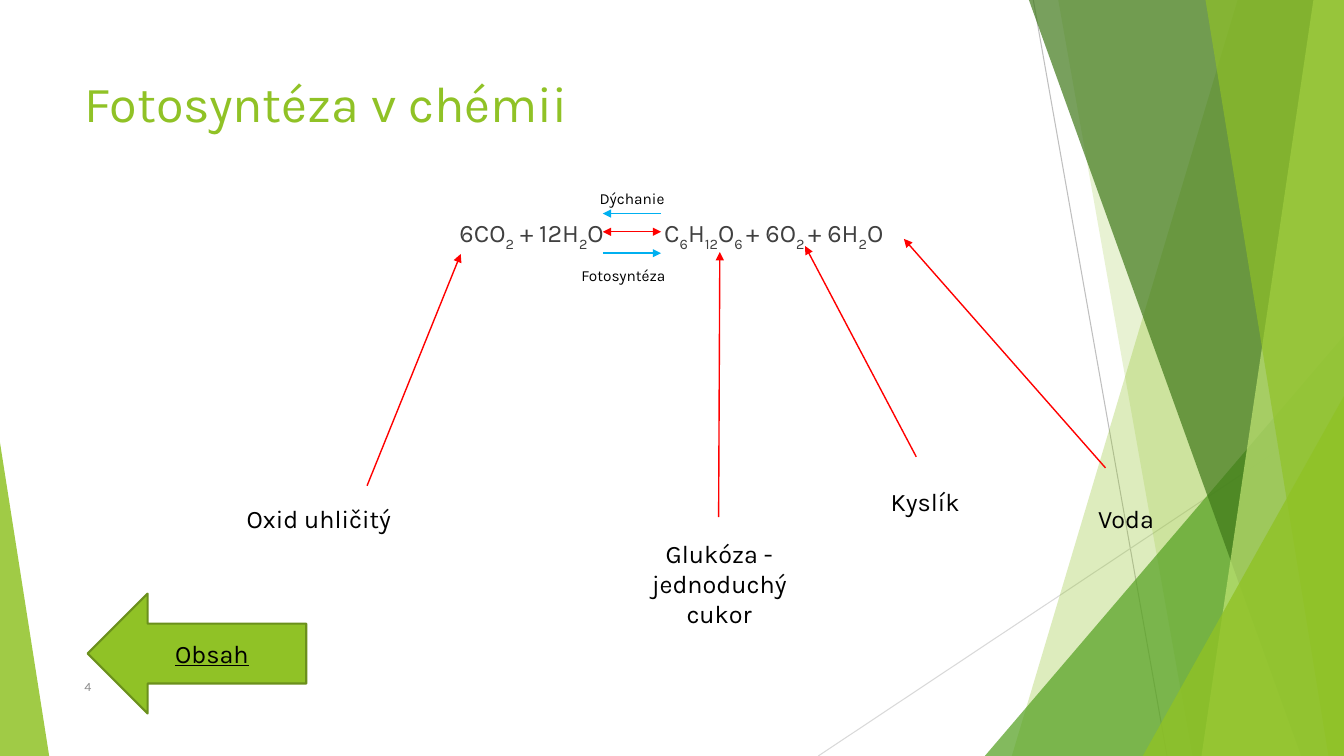
from dataclasses import dataclass

from lxml import etree
from pptx import Presentation
from pptx.dml.color import RGBColor
from pptx.enum.shapes import MSO_CONNECTOR, MSO_SHAPE
from pptx.enum.text import MSO_ANCHOR, PP_ALIGN
from pptx.oxml.ns import qn
from pptx.util import Cm, Pt

STRAIGHT = MSO_CONNECTOR.STRAIGHT
TRIANGLE = MSO_SHAPE.ISOSCELES_TRIANGLE
LEFT_ARROW = MSO_SHAPE.LEFT_ARROW
LEFT, CENTER = PP_ALIGN.LEFT, PP_ALIGN.CENTER
TOP, MIDDLE = MSO_ANCHOR.TOP, MSO_ANCHOR.MIDDLE
WIDTH, HEIGHT = 33.87, 19.05
TITLE_ONLY = 5


@dataclass(frozen=True)
class Theme:
    """Colours, font and type sizes of the slide."""
    font: str = "Karla"
    green: str = "90C226"
    mid_green: str = "54A021"
    dark_green: str = "3F7819"
    pale_green: str = "C0E474"
    outline: str = "6B901C"
    red: str = "FF0000"
    blue: str = "00B0F0"
    black: str = "000000"
    formula: str = "404040"
    number: str = "8C8C8C"
    rule_dark: str = "BFBFBF"
    rule_light: str = "D9D9D9"
    title_size: int = 36
    text_size: int = 18
    small_size: int = 11
    number_size: int = 9


THEME = Theme()

BANDS_BACK = [(31.19, 25.5, THEME.green, 30), (26.67, 30.05, THEME.green, 20)]
BANDS_FRONT = [
    (25.93, 32.79, THEME.dark_green, 70),
    (33.1, 30.28, THEME.pale_green, 70),
    (30.38, 33.48, THEME.green, 65),
]
SUBSTANCES = [
    ("Glukóza - jednoduchý cukor", (15.7, 13.44, 4.85, 2.57), (18.11, 13.03), (18.14, 6.35)),
    ("Oxid uhličitý", (5.33, 12.57, 5.41, 1.02), (9.25, 12.24), (11.61, 6.4)),
    ("Voda", (26.21, 12.57, 4.34, 1.02), (27.86, 11.79), (22.78, 6.02)),
    ("Kyslík", (21.92, 12.12, 2.79, 1.02), (23.09, 11.51), (20.29, 6.2)),
]
REACTION_LEFT, REACTION_RIGHT = 15.19, 16.66


def write(shape, text, *, size=THEME.text_size, color=THEME.black, align=LEFT,
          anchor=TOP, underline=False, tab=None):
    """Write text into a shape; parts between underscores become subscripts."""
    frame = shape.text_frame
    frame.word_wrap = True
    frame.vertical_anchor = anchor
    paragraph = frame.paragraphs[0]
    paragraph.alignment = align
    if tab:
        stops = etree.SubElement(paragraph._p.get_or_add_pPr(), qn("a:tabLst"))
        etree.SubElement(stops, qn("a:tab"), pos=str(Cm(tab)), algn="l")
    for index, part in enumerate(text.split("_")):
        run = paragraph.add_run()
        run.text = part
        font = run.font
        font.name = THEME.font
        font.size = Pt(size)
        font.color.rgb = RGBColor.from_string(color)
        font.underline = underline
        if index % 2:
            font._element.set("baseline", "-25000")


def add_text(slide, box, text, **text_format):
    """Add a text box placed by left, top, width and height."""
    write(slide.shapes.add_textbox(*map(Cm, box)), text, **text_format)


def add_line(slide, start, end, color, width=1.0, head=False, tail=False):
    """Add a straight line with optional arrowheads."""
    line = slide.shapes.add_connector(STRAIGHT, *map(Cm, (*start, *end)))
    line.line.width = Pt(width)
    line.line.color.rgb = RGBColor.from_string(color)
    properties = line._element.spPr
    outline = properties.find(qn("a:ln"))
    for tag, wanted in (("a:headEnd", head), ("a:tailEnd", tail)):
        if wanted:
            etree.SubElement(outline, qn(tag), type="triangle")
    etree.SubElement(properties, qn("a:effectLst"))


def paint(shape, color, opacity=100):
    """Give a shape a flat fill without outline or shadow."""
    shape.shadow.inherit = False
    shape.line.fill.background()
    shape.fill.solid()
    shape.fill.fore_color.rgb = RGBColor.from_string(color)
    if opacity < 100:
        fill_color = shape._element.spPr.find(qn("a:solidFill")).find(qn("a:srgbClr"))
        etree.SubElement(fill_color, qn("a:alpha"), val=str(opacity * 1000))


def add_band(slide, top_x, bottom_x, color, opacity):
    """Add a slanted band that reaches the right slide edge."""
    outline = slide.shapes.build_freeform(Cm(top_x), 0)
    corners = [(WIDTH, 0), (WIDTH, HEIGHT), (bottom_x, HEIGHT)]
    outline.add_line_segments([(Cm(x), Cm(y)) for x, y in corners], close=True)
    paint(outline.convert_to_shape(), color, opacity)


def add_triangle(slide, box, apex, color, opacity):
    """Add a right triangle with its apex at one end of the top edge."""
    triangle = slide.shapes.add_shape(TRIANGLE, *map(Cm, box))
    triangle.adjustments[0] = apex
    paint(triangle, color, opacity)


def add_backdrop(slide):
    """Add the green facets and thin rules at the slide edges."""
    add_line(slide, (26.04, 0), (29.41, HEIGHT), THEME.rule_dark, 0.75)
    add_line(slide, (WIDTH, 10.24), (20.62, HEIGHT), THEME.rule_light, 0.75)
    for band in BANDS_BACK:
        add_band(slide, *band)
    add_triangle(slide, (24.82, 8.46, 9.05, 10.59), 1, THEME.mid_green, 72)
    for band in BANDS_FRONT:
        add_band(slide, *band)
    add_triangle(slide, (28.8, 9.98, 5.07, 9.07), 1, THEME.green, 80)
    add_triangle(slide, (0, 11.15, 1.24, 7.9), 0, THEME.green, 85)


def add_title(slide, text):
    """Place and format the title placeholder."""
    title = slide.shapes.title
    title.left, title.top, title.width, title.height = map(Cm, (1.88, 1.7, 23.88, 3.66))
    write(title, text, size=THEME.title_size, color=THEME.green)


def add_reaction(slide):
    """Add the chemical equation with its arrows and their names."""
    add_text(slide, (11.33, 5.36, 12.5, 1.3),
             "6CO_2_ + 12H_2_O\tC_6_H_12_O_6 _+ 6O_2 _+ 6H_2_O",
             color=THEME.formula, tab=5.16)
    add_line(slide, (REACTION_LEFT, 5.84), (REACTION_RIGHT, 5.84), THEME.red,
             head=True, tail=True)
    add_line(slide, (REACTION_RIGHT, 5.38), (REACTION_LEFT, 5.38), THEME.blue, tail=True)
    add_line(slide, (REACTION_LEFT, 6.38), (REACTION_RIGHT, 6.38), THEME.blue, tail=True)
    add_text(slide, (14.86, 4.65, 2.54, 0.74), "Dýchanie", size=THEME.small_size)
    add_text(slide, (14.4, 6.58, 2.77, 0.74), "Fotosyntéza", size=THEME.small_size)


def add_contents_arrow(slide):
    """Add the arrow that points back to the contents."""
    arrow = slide.shapes.add_shape(LEFT_ARROW, *map(Cm, (2.21, 14.96, 5.51, 3.02)))
    paint(arrow, THEME.green)
    arrow.line.color.rgb = RGBColor.from_string(THEME.outline)
    arrow.line.width = Pt(1.5)
    write(arrow, "Obsah", align=CENTER, anchor=MIDDLE, underline=True)


def main():
    """Build the slide and save it."""
    deck = Presentation()
    deck.slide_width, deck.slide_height = Cm(WIDTH), Cm(HEIGHT)
    slide = deck.slides.add_slide(deck.slide_layouts[TITLE_ONLY])
    add_backdrop(slide)
    add_title(slide, "Fotosyntéza v chémii")
    add_reaction(slide)
    for name, box, start, end in SUBSTANCES:
        add_line(slide, start, end, THEME.red, tail=True)
        add_text(slide, box, name, align=CENTER)
    add_contents_arrow(slide)
    add_text(slide, (1.88, 16.79, 17.5, 1.02), "4", size=THEME.number_size,
             color=THEME.number, anchor=MIDDLE)
    deck.save("out.pptx")


if __name__ == "__main__":
    main()
